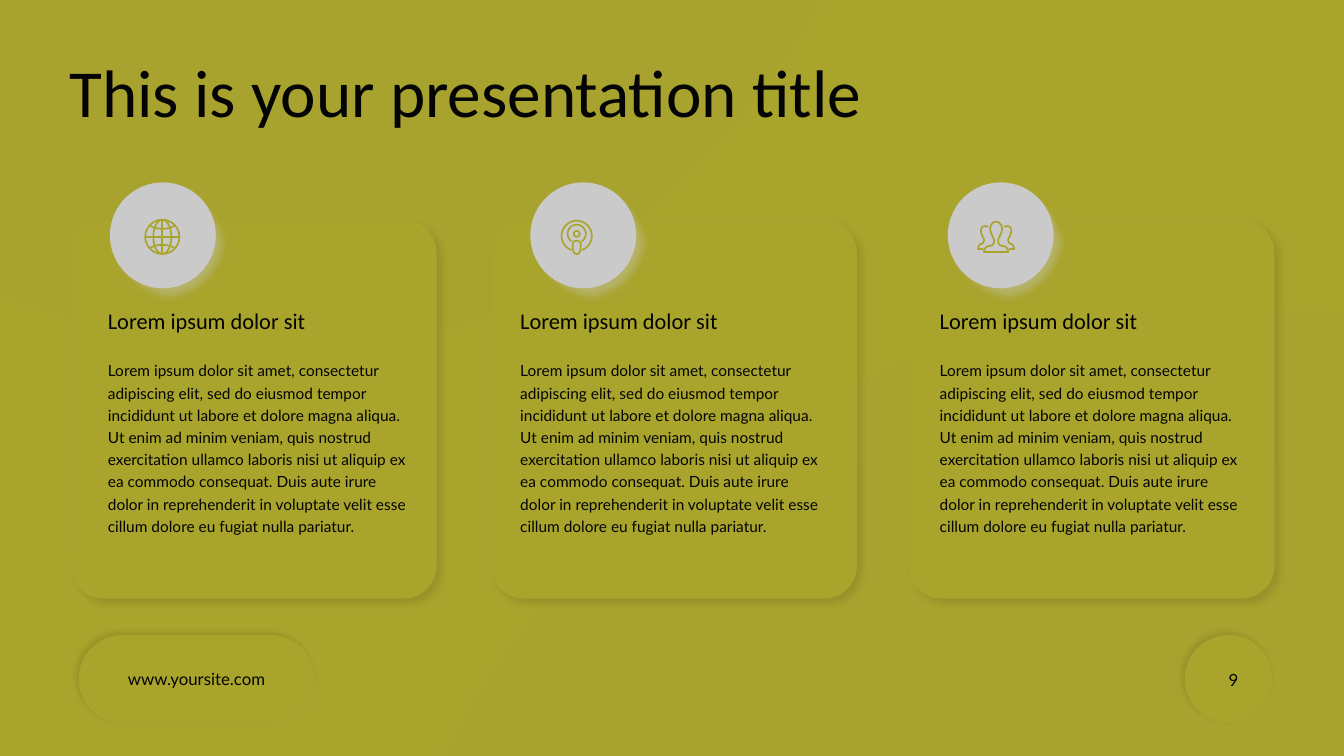
from math import cos, radians, sin

from lxml.etree import SubElement
from pptx import Presentation
from pptx.dml.color import RGBColor
from pptx.enum.shapes import MSO_CONNECTOR, MSO_SHAPE
from pptx.enum.text import MSO_ANCHOR, PP_ALIGN
from pptx.oxml.ns import qn
from pptx.util import Pt

PX = 9144  # 100 px to the inch
OLIVE = RGBColor(0xA9, 0xA4, 0x2C)
SILVER = RGBColor(0xCA, 0xCA, 0xCA)
TAUPE = RGBColor(0x8C, 0x87, 0x87)
INK = RGBColor(0x04, 0x04, 0x04)
ICON_LINE = Pt(1.2)

HEADING = "Lorem ipsum dolor sit"
BODY = (
    "Lorem ipsum dolor sit amet, consectetur adipiscing elit, sed do eiusmod "
    "tempor incididunt ut labore et dolore magna aliqua. Ut enim ad minim "
    "veniam, quis nostrud exercitation ullamco laboris nisi ut aliquip ex ea "
    "commodo consequat. Duis aute irure dolor in reprehenderit in voluptate "
    "velit esse cillum dolore eu fugiat nulla pariatur."
)

# Background waves: a start point, then two controls and an end per curve
WAVES = [
    [(852, -222), (906, -60), (717, 184), (526, 292), (334, 399), (141, 372),
     (-124, 229), (-390, 88), (-727, -170), (-683, -320), (-641, -470),
     (-216, -510), (144, -490), (504, -468), (799, -385), (852, -222)],
    [(1980, 697), (2057, 945), (1828, 1280), (1515, 1510), (1202, 1740),
     (806, 1862), (577, 1707), (350, 1552), (292, 1120), (413, 812),
     (534, 504), (836, 320), (1178, 306), (1520, 293), (1904, 451), (1980, 697)],
]


# Geometry
def bezier(knots, steps=16):
    points = [knots[0]]
    for i in range(0, len(knots) - 1, 3):
        curve = knots[i:i + 4]
        for n in range(1, steps + 1):
            t = n / steps
            weights = ((1 - t) ** 3, 3 * t * (1 - t) ** 2, 3 * t * t * (1 - t), t ** 3)
            points.append(tuple(sum(w * k[axis] for w, k in zip(weights, curve))
                                for axis in (0, 1)))
    return points


def arc(cx, cy, radius, start, end):
    return [(cx + radius * cos(radians(a)), cy + radius * sin(radians(a)))
            for a in range(start, end + 1, 5)]


# Element helpers
def paint(sp, color, alpha=None):
    sp.fill.solid()
    sp.fill.fore_color.rgb = color
    sp.line.fill.background()
    sp.shadow.inherit = False
    if alpha:
        clr = sp._element.spPr.find(qn("a:solidFill"))[0]
        SubElement(clr, qn("a:alpha"), val=str(alpha * 1000))


def outline(sp):
    sp.fill.background()
    sp.line.color.rgb = OLIVE
    sp.line.width = ICON_LINE
    sp.shadow.inherit = False


def add_effect(sp, tag, **attrs):
    effects = sp._element.spPr.find(qn("a:effectLst"))
    return SubElement(effects, qn(tag), **attrs)


def add_shadow(sp, color, blur, dist, angle):
    shadow = add_effect(sp, "a:outerShdw", blurRad=str(Pt(blur)), dist=str(Pt(dist)),
                        dir=str(angle * 60000), algn="ctr", rotWithShape="0")
    clr = SubElement(shadow, qn("a:srgbClr"), val=color)
    SubElement(clr, qn("a:alpha"), val="10000")


def add_preset(s, kind, x, y, w, h):
    return s.shapes.add_shape(kind, x * PX, y * PX, w * PX, h * PX)


def add_path(s, points, close=False):
    scaled = [(x * PX, y * PX) for x, y in points]
    builder = s.shapes.build_freeform(*scaled[0], scale=1.0)
    builder.add_line_segments(scaled[1:], close=close)
    return builder.convert_to_shape()


def add_stroke(s, points, close=False):
    outline(add_path(s, points, close))


def add_ring(s, cx, cy, rx, ry):
    outline(add_preset(s, MSO_SHAPE.OVAL, cx - rx, cy - ry, 2 * rx, 2 * ry))


def add_line(s, x1, y1, x2, y2):
    line = s.shapes.add_connector(MSO_CONNECTOR.STRAIGHT, x1 * PX, y1 * PX, x2 * PX, y2 * PX)
    line.line.color.rgb = OLIVE
    line.line.width = ICON_LINE
    SubElement(line._element.spPr, qn("a:effectLst"))


def add_text(s, text, box, size, font, spacing=1.0, align=PP_ALIGN.LEFT, inset=0,
             anchor=MSO_ANCHOR.TOP):
    tf = s.shapes.add_textbox(*(v * PX for v in box)).text_frame
    tf.word_wrap = True
    tf.vertical_anchor = anchor
    tf.margin_left = tf.margin_right = inset * PX
    tf.margin_top = tf.margin_bottom = 0
    p = tf.paragraphs[0]
    p.text = text
    p.alignment = align
    p.line_spacing = spacing
    p.font.size = Pt(size)
    p.font.name = font
    p.font.color.rgb = INK


# Icons
def draw_globe(s, cx, cy):
    add_ring(s, cx, cy, 17, 17)
    add_ring(s, cx, cy, 9, 17)
    add_line(s, cx - 17, cy, cx + 17, cy)
    add_line(s, cx, cy - 17, cx, cy + 17)
    for side in (-1, 1):
        far, near = cy + side * 11, cy + side * 7
        add_stroke(s, bezier([(cx - 12, far), (cx - 6, near), (cx + 6, near), (cx + 12, far)]))


def draw_podcast(s, cx, cy):
    add_stroke(s, arc(cx, cy - 1, 15, -250, 70))
    add_stroke(s, arc(cx, cy - 3, 9, -235, 55))
    add_ring(s, cx, cy - 3, 3, 3)
    add_stroke(s, bezier([
        (cx, cy + 4), (cx + 4, cy + 4), (cx + 4, cy + 6), (cx + 4, cy + 8),
        (cx + 4, cy + 16), (cx + 2, cy + 17), (cx, cy + 17),
        (cx - 2, cy + 17), (cx - 4, cy + 16), (cx - 4, cy + 8),
        (cx - 4, cy + 6), (cx - 4, cy + 4), (cx, cy + 4)]), close=True)


def draw_people(s, cx, cy):
    front = bezier([(12, 15), (12, 11), (9, 9), (6, 9), (5, 9), (2, 8), (2, 4),
                    (2, 1), (4, 0), (4, -2), (8, -8), (5, -15), (0, -15)])
    back = [(13, 12)] + bezier([
        (18, 12), (17, 8), (16, 7), (15, 7), (14, 7), (12, 6), (12, 3),
        (12, 1), (14, 0), (14, -2), (17, -9), (13, -12), (8, -10)])
    mirrored = [(-x, y) for x, y in reversed(front)]
    add_stroke(s, [(cx + x, cy + y) for x, y in front + mirrored], close=True)
    for side in (-1, 1):
        add_stroke(s, [(cx + side * x, cy + y) for x, y in back])


# Slide parts
def draw_card(s, card_x, text_x, icon_x, draw_icon):
    card = add_preset(s, MSO_SHAPE.ROUNDED_RECTANGLE, card_x, 218, 363, 376)
    card.adjustments[0] = 0.09
    paint(card, OLIVE)
    add_shadow(card, "000000", 5, 5, 45)
    halo = add_preset(s, MSO_SHAPE.OVAL, card_x + 38, 181, 121, 121)
    paint(halo, SILVER, alpha=40)
    add_effect(halo, "a:softEdge", rad=str(Pt(6)))
    paint(add_preset(s, MSO_SHAPE.OVAL, card_x + 39, 181, 105, 105), SILVER)
    draw_icon(s, icon_x, 235)
    add_text(s, HEADING, (text_x, 308, 302, 40), 16, "Calibri", 0.9)
    add_text(s, BODY, (text_x, 355, 302, 198), 11, "Lato", 1.2)


def draw_footer(s):
    for x, width in ((78, 234), (1175, 87)):
        pill = add_preset(s, MSO_SHAPE.ROUNDED_RECTANGLE, x, 630, width, 87)
        pill.adjustments[0] = 0.5
        paint(pill, OLIVE)
        add_shadow(pill, "040404", 4, 3, 225)
    add_text(s, "www.yoursite.com", (78, 658, 234, 30), 12, "Lato",
             align=PP_ALIGN.CENTER, anchor=MSO_ANCHOR.MIDDLE)
    add_text(s, "9", (938, 654, 300, 40), 12, "Lato", align=PP_ALIGN.RIGHT,
             inset=10, anchor=MSO_ANCHOR.MIDDLE)


def main():
    prs = Presentation()
    prs.slide_width, prs.slide_height = 1333 * PX, 750 * PX
    s = prs.slides.add_slide(prs.slide_layouts[6])

    # Background
    s.background.fill.solid()
    s.background.fill.fore_color.rgb = OLIVE
    for wave in WAVES:
        paint(add_path(s, bezier(wave), close=True), TAUPE, alpha=3)

    # Title, cards and footer
    add_text(s, "This is your presentation title", (69, 59, 1070, 109), 48, "Calibri", 0.9)
    draw_card(s, 70, 107, 161, draw_globe)
    draw_card(s, 487, 516, 572, draw_podcast)
    draw_card(s, 901, 932, 988, draw_people)
    draw_footer(s)
    prs.save("out.pptx")


if __name__ == "__main__":
    main()
